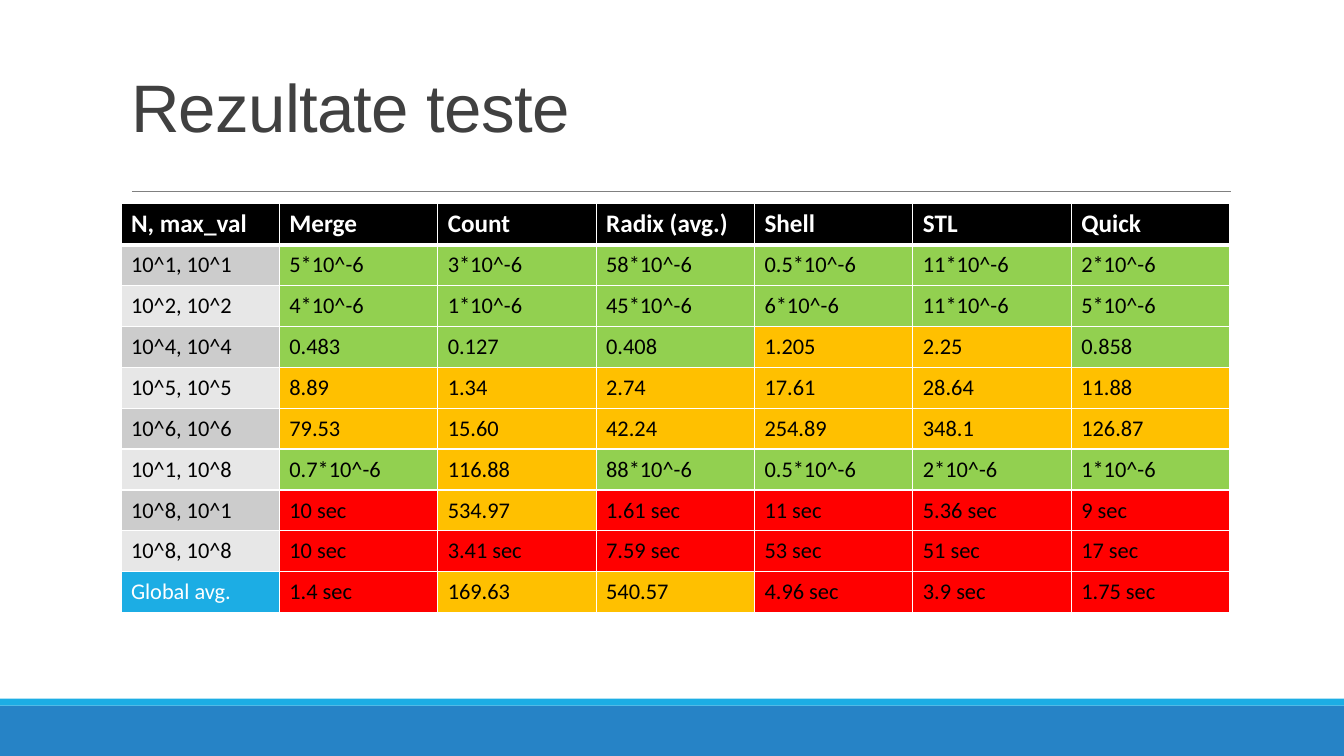
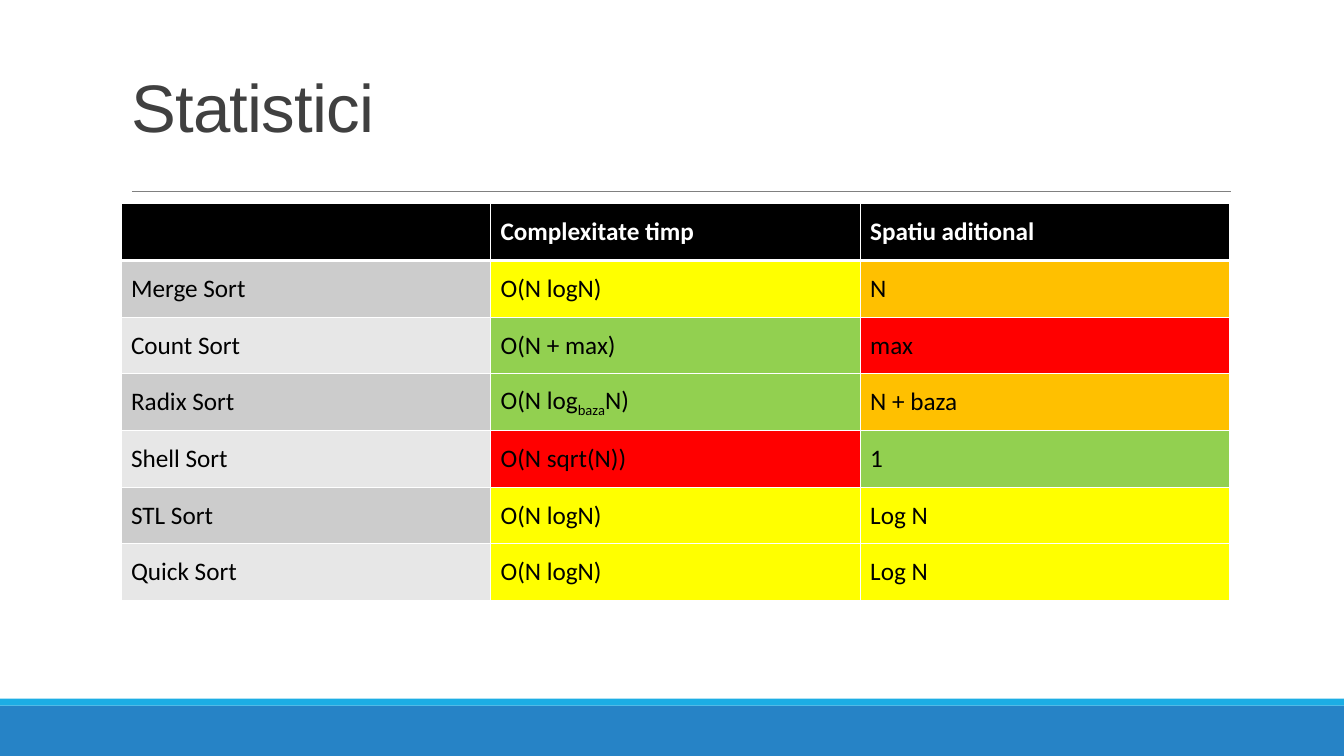
from lxml import etree
from pptx import Presentation
from pptx.dml.color import RGBColor
from pptx.enum.shapes import MSO_CONNECTOR, MSO_SHAPE
from pptx.enum.text import MSO_ANCHOR, MSO_AUTO_SIZE, PP_ALIGN
from pptx.oxml.ns import qn
from pptx.util import Pt

LINE = MSO_CONNECTOR.STRAIGHT
RECT = MSO_SHAPE.RECTANGLE
MIDDLE = MSO_ANCHOR.MIDDLE
LEFT = PP_ALIGN.LEFT
NO_FIT = MSO_AUTO_SIZE.NONE

WIDE, HIGH = 960, 540
EDGE, SPAN = 86.4, 792
TITLE_ONLY = 5
HEADS, BODY = "Arial", "Calibri"
COLORS = {
    "band": "2683C6", "strip": "1CADE4", "rule": "808080",
    "title": "404040", "white": "FFFFFF", "black": "000000",
}
# Each letter in a row's code names the fill of one cell.
FILLS = {
    "k": COLORS["black"], "b": COLORS["strip"],
    "d": "CCCCCC", "l": "E7E7E7",
    "g": "92D050", "y": "FFFF00", "o": "FFC000", "r": "FF0000",
}

TESTS = [
    ("kkkkkkk", ["N, max_val", "Merge", "Count", "Radix (avg.)", "Shell",
                 "STL", "Quick"]),
    ("dgggggg", ["10^1, 10^1", "5*10^-6", "3*10^-6", "58*10^-6",
                 "0.5*10^-6", "11*10^-6", "2*10^-6"]),
    ("lgggggg", ["10^2, 10^2", "4*10^-6", "1*10^-6", "45*10^-6",
                 "6*10^-6", "11*10^-6", "5*10^-6"]),
    ("dgggoog", ["10^4, 10^4", "0.483", "0.127", "0.408", "1.205", "2.25",
                 "0.858"]),
    ("loooooo", ["10^5, 10^5", "8.89", "1.34", "2.74", "17.61", "28.64",
                 "11.88"]),
    ("doooooo", ["10^6, 10^6", "79.53", "15.60", "42.24", "254.89", "348.1",
                 "126.87"]),
    ("lgogggg", ["10^1, 10^8", "0.7*10^-6", "116.88", "88*10^-6",
                 "0.5*10^-6", "2*10^-6", "1*10^-6"]),
    ("drorrrr", ["10^8, 10^1", "10 sec", "534.97", "1.61 sec", "11 sec",
                 "5.36 sec", "9 sec"]),
    ("lrrrrrr", ["10^8, 10^8", "10 sec", "3.41 sec", "7.59 sec", "53 sec",
                 "51 sec", "17 sec"]),
    ("broorrr", ["Global avg.", "1.4 sec", "169.63", "540.57", "4.96 sec",
                 "3.9 sec", "1.75 sec"]),
]
# Text between tildes is subscript.
STATS = [
    ("kkk", ["", "Complexitate timp", "Spatiu aditional"]),
    ("dyo", ["Merge Sort", "O(N logN)", "N"]),
    ("lgr", ["Count Sort", "O(N + max)", "max"]),
    ("dgo", ["Radix Sort", "O(N log~baza~N)", "N + baza"]),
    ("lrg", ["Shell Sort", "O(N sqrt(N))", "1"]),
    ("dyy", ["STL Sort", "O(N logN)", "Log N"]),
    ("lyy", ["Quick Sort", "O(N logN)", "Log N"]),
]


def paint(fill, color):
    """Give a fill one solid colour."""
    fill.solid()
    fill.fore_color.rgb = RGBColor.from_string(color)


def style(font, name, size, color, bold=False):
    """Set the look of a font."""
    font.name, font.size, font.bold = name, Pt(size), bold
    font.color.rgb = RGBColor.from_string(color)


def add_band(slide, top, height, color):
    """Add a plain band across the slide."""
    band = slide.shapes.add_shape(RECT, 0, Pt(top), Pt(WIDE), Pt(height))
    band.shadow.inherit = False
    paint(band.fill, color)
    band.line.fill.background()


def add_rule(slide, left, right, top):
    """Add the thin line under the title."""
    rule = slide.shapes.add_connector(
        LINE, Pt(left), Pt(top), Pt(right), Pt(top))
    rule.line.width = Pt(0.5)
    rule.line.color.rgb = RGBColor.from_string(COLORS["rule"])
    etree.SubElement(rule._element.spPr, qn("a:effectLst"))


def set_title(slide, text):
    """Place, fill and format the title."""
    title = slide.shapes.title
    title.left, title.top = Pt(EDGE), Pt(22.5)
    title.width, title.height = Pt(SPAN), Pt(114.5)
    frame = title.text_frame
    frame.auto_size, frame.vertical_anchor = NO_FIT, MIDDLE
    frame.text = text
    para = frame.paragraphs[0]
    para.alignment, para.line_spacing = LEFT, 0.85
    style(para.font, HEADS, 48, COLORS["title"])
    para.runs[0]._r.get_or_add_rPr().set("spc", "-50")


def add_slide(deck, title):
    """Add a slide with the shared title, bands and rule."""
    slide = deck.slides.add_slide(deck.slide_layouts[TITLE_ONLY])
    add_band(slide, 504, 36, COLORS["band"])
    add_band(slide, 499, 5, COLORS["strip"])
    add_rule(slide, 94.3, 879.1, 136.8)
    set_title(slide, title)
    return slide


def set_edges(cell, top, bottom):
    """Draw white borders round a cell."""
    props = cell._tc.get_or_add_tcPr()
    for side, width in (("L", 1), ("R", 1), ("T", top), ("B", bottom)):
        line = etree.SubElement(props, qn("a:ln" + side), w=str(Pt(width)))
        fill = etree.SubElement(line, qn("a:solidFill"))
        etree.SubElement(fill, qn("a:srgbClr"), val=COLORS["white"])


def set_text(cell, text, size, color, bold):
    """Write a cell's text, with subscripts between tildes."""
    cell.vertical_anchor = MIDDLE
    para = cell.text_frame.paragraphs[0]
    style(para.font, BODY, size, color, bold)
    if not text:
        return
    for pos, part in enumerate(text.split("~")):
        run = para.add_run()
        run.text = part
        if pos % 2:
            run._r.get_or_add_rPr().set("baseline", "-25000")


def add_grid(slide, rows, height, size):
    """Add a table with equal columns and coded cell fills."""
    count = len(rows[0][1])
    table = slide.shapes.add_table(
        len(rows), count, Pt(EDGE), Pt(145.6),
        Pt(SPAN), Pt(height * len(rows))).table
    table.horz_banding = False
    for col in table.columns:
        col.width = Pt(SPAN / count)
    for row, (codes, texts) in enumerate(rows):
        table.rows[row].height = Pt(height)
        head = row == 0
        for col, (code, text) in enumerate(zip(codes, texts)):
            cell = table.cell(row, col)
            set_edges(cell, 3 if row == 1 else 1, 3 if head else 1)
            paint(cell.fill, FILLS[code])
            color = COLORS["white" if code in "kb" else "black"]
            set_text(cell, text, 18 if head else size, color, head)


def main():
    """Build and save the deck."""
    deck = Presentation()
    deck.slide_width, deck.slide_height = Pt(WIDE), Pt(HIGH)
    add_grid(add_slide(deck, "Rezultate teste"), TESTS, 29.2, 16)
    add_grid(add_slide(deck, "Statistici"), STATS, 40.5, 18)
    deck.save("out.pptx")


main()
